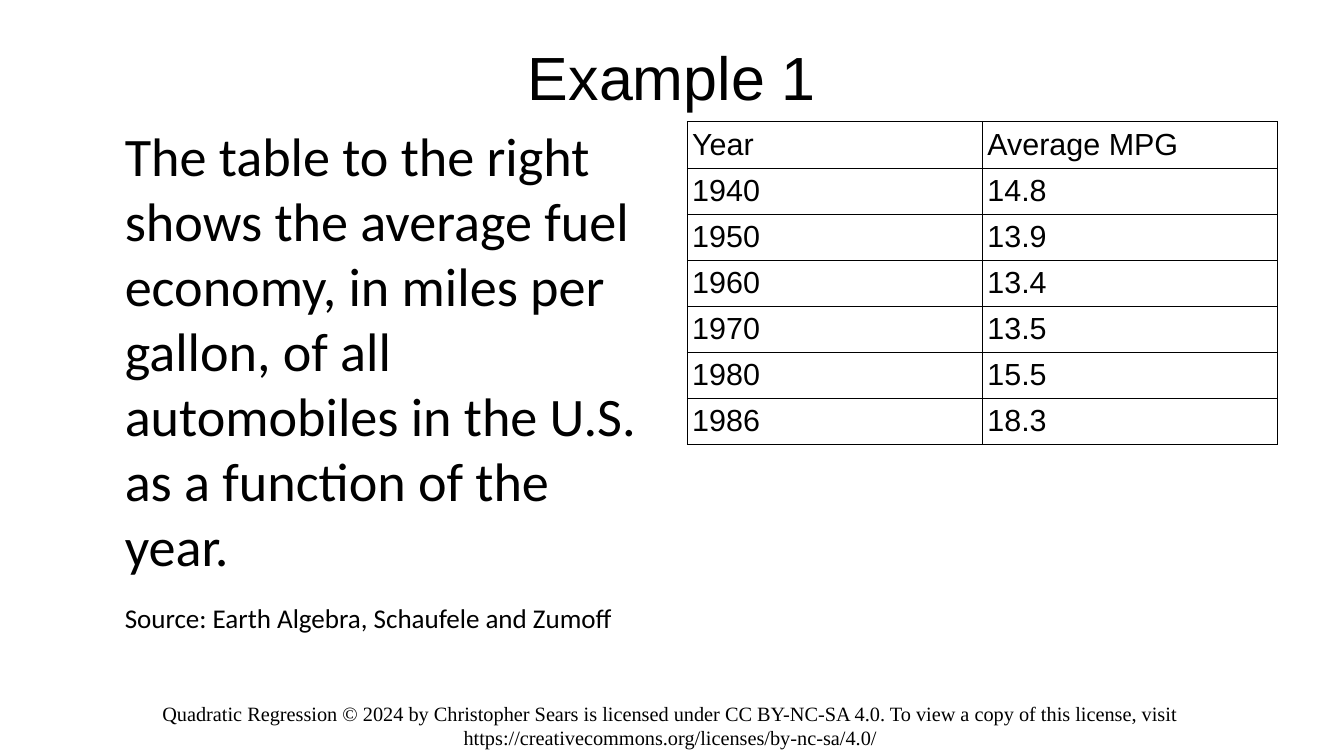
import pptx
import pptx.dml.color
import pptx.enum.text
import pptx.oxml
import pptx.oxml.ns
import pptx.util

Cm = pptx.util.Cm
Pt = pptx.util.Pt
Align = pptx.enum.text.PP_ALIGN
Anchor = pptx.enum.text.MSO_ANCHOR

COLOURS = {"ink": "000000", "paper": "FFFFFF"}
BORDER_WIDTH = Pt(0.57)
FUEL_ECONOMY = [
    ("Year", "Average MPG"),
    ("1940", "14.8"),
    ("1950", "13.9"),
    ("1960", "13.4"),
    ("1970", "13.5"),
    ("1980", "15.5"),
    ("1986", "18.3"),
]


class SlideBuilder:
    def __init__(self, presentation):
        self.slide = presentation.slides.add_slide(presentation.slide_layouts[5])
        self.ink = pptx.dml.color.RGBColor.from_string(COLOURS["ink"])
        background = self.slide.background.fill
        background.solid()
        background.fore_color.rgb = pptx.dml.color.RGBColor.from_string(COLOURS["paper"])

    def style(self, paragraph, font_name, size, alignment=Align.LEFT):
        paragraph.alignment = alignment
        for run in paragraph.runs:
            run.font.name = font_name
            run.font.size = Pt(size)
            run.font.color.rgb = self.ink

    def prepare(self, shape, left, top, width, height, anchor=Anchor.TOP):
        shape.left, shape.top = Cm(left), Cm(top)
        shape.width, shape.height = Cm(width), Cm(height)
        text_frame = shape.text_frame
        text_frame.word_wrap = True
        text_frame.auto_size = pptx.enum.text.MSO_AUTO_SIZE.NONE
        text_frame.vertical_anchor = anchor
        text_frame.margin_left = text_frame.margin_right = 0
        text_frame.margin_top = text_frame.margin_bottom = 0
        return text_frame

    def title(self, text, box):
        text_frame = self.prepare(self.slide.shapes.title, *box, Anchor.MIDDLE)
        text_frame.text = text
        self.style(text_frame.paragraphs[0], "Arial", 36, Align.CENTER)

    def text(self, lines, box, font_name, alignment=Align.LEFT, indent=0, space_before=0):
        shape = self.slide.shapes.add_textbox(0, 0, 0, 0)
        text_frame = self.prepare(shape, *box)
        text_frame.text = "\n".join(text for text, size in lines)
        for paragraph, (text, size) in zip(text_frame.paragraphs, lines):
            self.style(paragraph, font_name, size, alignment)
            paragraph.space_before = Pt(space_before)
            paragraph._p.get_or_add_pPr().set("marL", str(Cm(indent)))

    def table(self, rows, left, top, width, row_height):
        table = self.slide.shapes.add_table(
            len(rows), len(rows[0]), Cm(left), Cm(top), Cm(width), Cm(row_height * len(rows))
        ).table
        table.first_row = table.horz_banding = False
        for row, values in zip(table.rows, rows):
            row.height = Cm(row_height)
            for cell, value in zip(row.cells, values):
                self.cell(cell, value)

    def cell(self, cell, value):
        cell.text_frame.text = value
        cell.margin_left = cell.margin_right = Cm(0.1)
        cell.margin_top = cell.margin_bottom = Cm(0.12)
        self.style(cell.text_frame.paragraphs[0], "Arial", 18)
        properties = cell._tc.get_or_add_tcPr()
        for side in ("lnL", "lnR", "lnT", "lnB"):
            properties.append(pptx.oxml.parse_xml(
                f'<a:{side} {pptx.oxml.ns.nsdecls("a")} w="{BORDER_WIDTH}"><a:solidFill>'
                f'<a:srgbClr val="{COLOURS["ink"]}"/></a:solidFill></a:{side}>'
            ))
        cell.fill.background()


def main():
    presentation = pptx.Presentation()
    presentation.slide_width, presentation.slide_height = Cm(28), Cm(15.75)
    builder = SlideBuilder(presentation)
    builder.title("Example 1", (1.4, 0.63, 25.2, 1.9))
    builder.text(
        [
            ("The table to the right shows the average fuel economy, in miles per gallon, "
             "of all automobiles in the U.S. as a function of the year.", 32),
            ("Source: Earth Algebra, Schaufele and Zumoff", 16),
        ],
        (1.4, 2.54, 12.3, 11.43), "Calibri", indent=1.2, space_before=14.2,
    )
    builder.table(FUEL_ECONOMY, 14.32, 2.54, 12.3, 0.96)
    builder.text(
        [("Quadratic Regression © 2024 by Christopher Sears is licensed under CC BY-NC-SA 4.0. "
          "To view a copy of this license, visit https://creativecommons.org/licenses/by-nc-sa/4.0/", 12)],
        (1.27, 14.6, 25.4, 0.84), "Times New Roman", Align.CENTER,
    )
    presentation.save("out.pptx")


if __name__ == "__main__":
    main()
